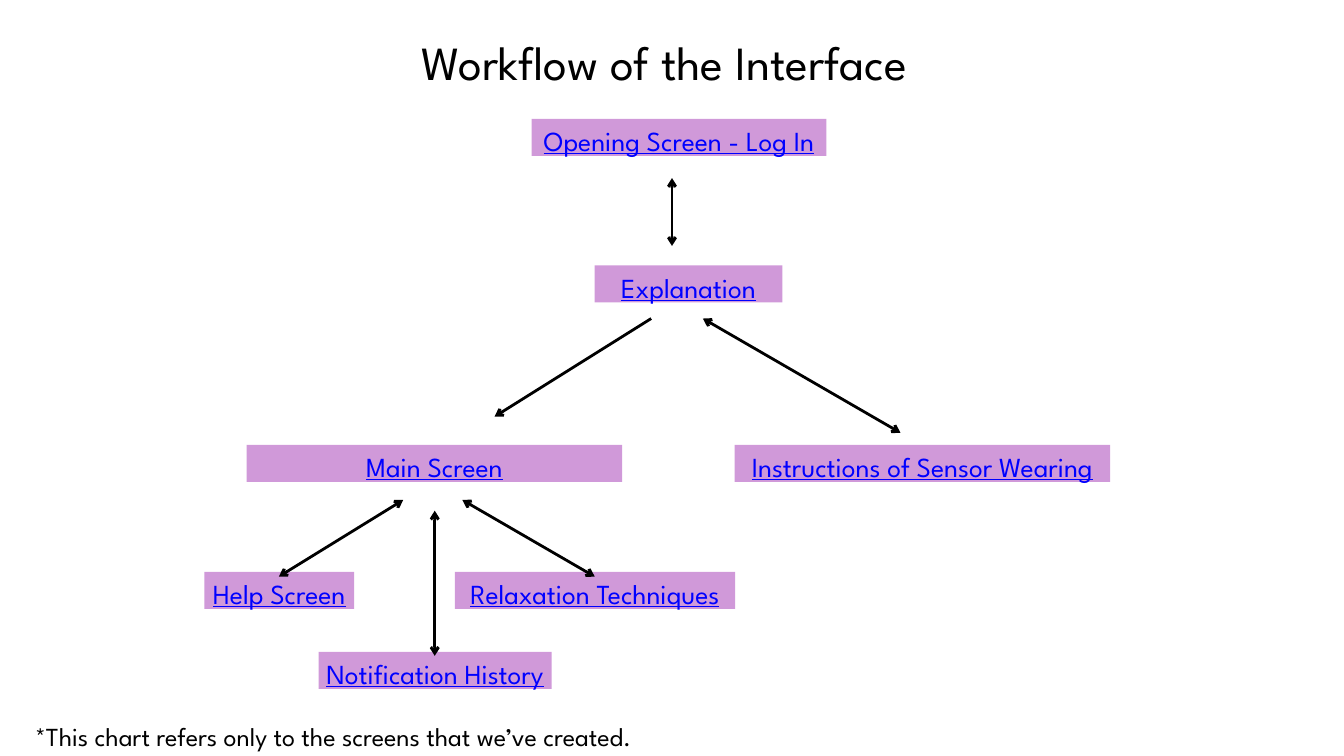
from lxml import etree
from pptx import Presentation
from pptx.dml.color import RGBColor
from pptx.enum.shapes import MSO_CONNECTOR, MSO_SHAPE
from pptx.enum.text import MSO_ANCHOR, MSO_AUTO_SIZE, PP_ALIGN
from pptx.oxml.ns import qn
from pptx.util import Pt

RECT = MSO_SHAPE.RECTANGLE
LINE = MSO_CONNECTOR.STRAIGHT
TOP = MSO_ANCHOR.TOP
GROW = MSO_AUTO_SIZE.SHAPE_TO_FIT_TEXT
MID = PP_ALIGN.CENTER

FACE = "League Spartan"
BLACK, BLUE, LILAC = "000000", "0000FF", "D099D9"
ROW = 39.6

SCREENS = [
    ("Opening Screen - Log In", 569.5, 127.4, 316),
    ("Explanation", 637.2, 284.4, 201),
    ("Instructions of Sensor Wearing", 787, 476.6, 402.5),
    ("Main Screen", 264.2, 476.6, 402.5),
    ("Relaxation Techniques", 487.4, 612.7, 300.2),
    ("Help Screen", 218.9, 612.7, 160.6),
    ("Notification History", 341.3, 698.4, 249.8),
]
BOTH = ("headEnd", "tailEnd")
LINKS = [
    (697.7, 341.3, 529.9, 446.4, ("tailEnd",)),
    (720, 190.8, 720, 263.5, BOTH),
    (753.1, 341.3, 964.8, 463.7, BOTH),
    (495.4, 535.7, 637.2, 617.8, BOTH),
    (465.8, 547.2, 465.8, 702.7, BOTH),
    (298.8, 617.8, 432, 535.7, BOTH),
]


def color(code):
    return RGBColor.from_string(code)


def assign(item, values):
    for name, value in values.items():
        setattr(item, name, value)


def write(shape, text, size, lead, ink, under=False):
    frame = shape.text_frame
    assign(frame, dict(margin_left=0, margin_top=0, margin_right=0,
                       margin_bottom=0, word_wrap=True,
                       vertical_anchor=TOP, auto_size=GROW))
    para = frame.paragraphs[0]
    assign(para, dict(alignment=MID, line_spacing=Pt(lead), space_before=Pt(0)))
    run = para.add_run()
    run.text = text
    assign(run.font, dict(name=FACE, size=Pt(size), bold=False, underline=under))
    run.font.color.rgb = color(ink)


def add_title(slide, left, top, width, height):
    title = slide.shapes.title
    assign(title, dict(left=Pt(left), top=Pt(top),
                       width=Pt(width), height=Pt(height)))
    write(title, "Workflow of the Interface", 50.9, 71.3, BLACK)


def add_screen(slide, text, left, top, width, height):
    box = slide.shapes.add_shape(RECT, Pt(left), Pt(top), Pt(width), Pt(height))
    box.shadow.inherit = False
    box.fill.solid()
    box.fill.fore_color.rgb = color(LILAC)
    box.line.fill.background()
    write(box, text, 29.5, 41.2, BLUE, True)


def add_link(slide, x1, y1, x2, y2, ends):
    link = slide.shapes.add_connector(LINE, Pt(x1), Pt(y1), Pt(x2), Pt(y2))
    link.line.width = Pt(3)
    link.line.color.rgb = color(BLACK)
    for end in ends:
        etree.SubElement(link.line._get_or_add_ln(), qn("a:" + end), type="arrow")
    etree.SubElement(link._element.spPr, qn("a:effectLst"))


def add_note(slide, left, top, width, height):
    note = slide.shapes.add_textbox(Pt(left), Pt(top), Pt(width), Pt(height))
    write(note, "*This chart refers only to the screens that we’ve created.",
          27.9, 39.1, BLACK)


def main():
    deck = Presentation()
    assign(deck, dict(slide_width=Pt(1440), slide_height=Pt(810)))
    slide = deck.slides.add_slide(deck.slide_layouts[5])
    add_title(slide, 358.6, 25.2, 706.3, 66.2)
    for text, left, top, width in SCREENS:
        add_screen(slide, text, left, top, width, ROW)
    for link in LINKS:
        add_link(slide, *link)
    add_note(slide, -86, 766.1, 886.3, ROW)
    deck.save("out.pptx")


if __name__ == "__main__":
    main()
